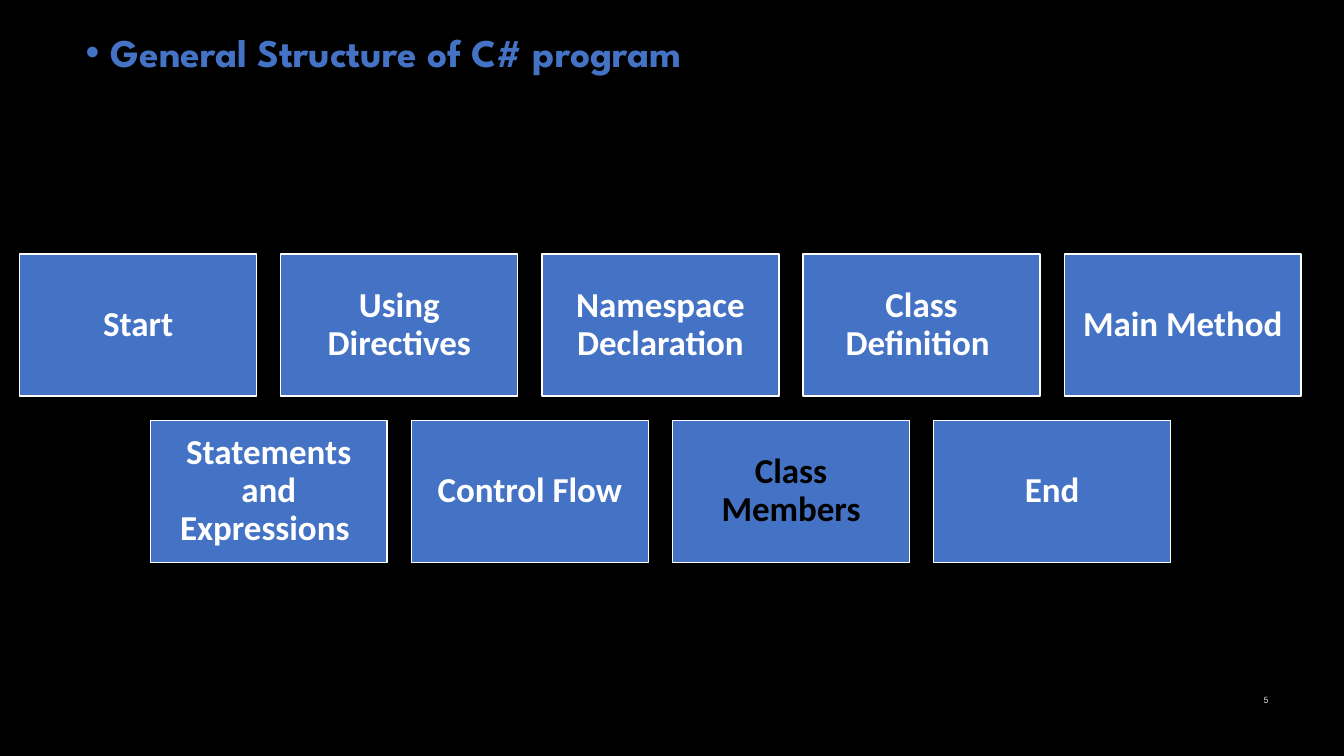
import dataclasses

import lxml.etree
import pptx
import pptx.dml.color
import pptx.enum.shapes
import pptx.enum.text
import pptx.oxml.ns
import pptx.util

Inches = pptx.util.Inches
Align = pptx.enum.text.PP_ALIGN
Anchor = pptx.enum.text.MSO_ANCHOR


@dataclasses.dataclass(frozen=True)
class Theme:
    """Colours, fonts and type sizes of the slide."""

    background: str = "000000"
    accent: str = "4472C4"
    light: str = "FFFFFF"
    dark: str = "000000"
    heading_font: str = "League Spartan"
    box_font: str = "Calibri"
    number_font: str = "TeX Gyre Adventor"
    heading_size: int = 28
    box_size: int = 25
    number_size: int = 6


def rgb(value):
    """Return the colour object for a hexadecimal value."""
    return pptx.dml.color.RGBColor.from_string(value)


def write_text(frame, text, font, size, color, bold=False, align=Align.LEFT,
               anchor=Anchor.TOP, inset=0.1, line_spacing=1.0):
    """Fill a text frame with one formatted paragraph and return it."""
    frame.word_wrap = True
    frame.auto_size = pptx.enum.text.MSO_AUTO_SIZE.NONE
    frame.vertical_anchor = anchor
    frame.margin_left = frame.margin_right = Inches(inset)
    frame.margin_top = frame.margin_bottom = Inches(inset)
    paragraph = frame.paragraphs[0]
    paragraph.alignment = align
    paragraph.line_spacing = line_spacing
    run = paragraph.add_run()
    run.text = text
    run.font.name = font
    run.font.size = pptx.util.Pt(size)
    run.font.bold = bold
    run.font.color.rgb = rgb(color)
    return paragraph


class SlideBuilder:
    """Holds the theme and the slide being built."""

    def __init__(self, presentation, theme):
        """Add a slide with the themed background."""
        self.theme = theme
        self.slide = presentation.slides.add_slide(presentation.slide_layouts[1])
        fill = self.slide.background.fill
        fill.solid()
        fill.fore_color.rgb = rgb(theme.background)
        title = self.slide.shapes.title.element
        title.getparent().remove(title)

    def heading(self, text, left, top, width, height):
        """Write the bulleted heading in the body placeholder."""
        body = self.slide.placeholders[1]
        body.left, body.top = Inches(left), Inches(top)
        body.width, body.height = Inches(width), Inches(height)
        paragraph = write_text(
            body.text_frame, text, self.theme.heading_font, self.theme.heading_size,
            self.theme.accent, bold=True, line_spacing=0.9)
        body.text_frame.margin_top = body.text_frame.margin_bottom = Inches(0.05)
        paragraph.space_before = pptx.util.Pt(10)
        properties = paragraph._p.get_or_add_pPr()
        properties.set("marL", str(Inches(0.25)))
        properties.set("indent", str(Inches(-0.25)))
        qualified = pptx.oxml.ns.qn
        lxml.etree.SubElement(properties, qualified("a:buFont")).set("typeface", "Arial")
        lxml.etree.SubElement(properties, qualified("a:buChar")).set("char", "•")

    def box(self, text, left, top, width, height, color):
        """Draw one labelled step box."""
        shape = self.slide.shapes.add_shape(
            pptx.enum.shapes.MSO_SHAPE.RECTANGLE,
            Inches(left), Inches(top), Inches(width), Inches(height))
        shape.shadow.inherit = False
        shape.fill.solid()
        shape.fill.fore_color.rgb = rgb(self.theme.accent)
        shape.line.color.rgb = rgb(self.theme.light)
        shape.line.width = pptx.util.Pt(1)
        write_text(
            shape.text_frame, text, self.theme.box_font, self.theme.box_size, color,
            bold=True, align=Align.CENTER, anchor=Anchor.MIDDLE, line_spacing=0.9)

    def box_rows(self, rows, center, top, width, height, gap, dark_labels):
        """Lay out rows of step boxes, each row centred."""
        for row_index, labels in enumerate(rows):
            row_width = len(labels) * (width + gap) - gap
            row_top = top + row_index * (height + gap)
            for column, label in enumerate(labels):
                left = center - row_width / 2 + column * (width + gap)
                color = self.theme.dark if label in dark_labels else self.theme.light
                self.box(label, left, row_top, width, height, color)

    def page_number(self, text, left, top, width, height):
        """Write the page number."""
        shape = self.slide.shapes.add_textbox(
            Inches(left), Inches(top), Inches(width), Inches(height))
        write_text(
            shape.text_frame, text, self.theme.number_font, self.theme.number_size,
            self.theme.light, align=Align.RIGHT, inset=0)


def main():
    """Build and save the slide."""
    presentation = pptx.Presentation()
    presentation.slide_width = Inches(13.33)
    presentation.slide_height = Inches(7.5)
    builder = SlideBuilder(presentation, Theme())
    builder.page_number("5", 12.28, 6.9, 0.3, 0.1)
    builder.heading("General Structure of C# program", 0.75, 0.28, 11.83, 0.38)
    steps = [
        ["Start", "Using Directives", "Namespace Declaration", "Class Definition ",
         "Main Method"],
        ["Statements and Expressions ", "Control Flow", "Class Members", "End"],
    ]
    builder.box_rows(steps, center=6.55, top=2.52, width=2.35, height=1.41,
                     gap=0.24, dark_labels={"Class Members"})
    presentation.save("out.pptx")


if __name__ == "__main__":
    main()
